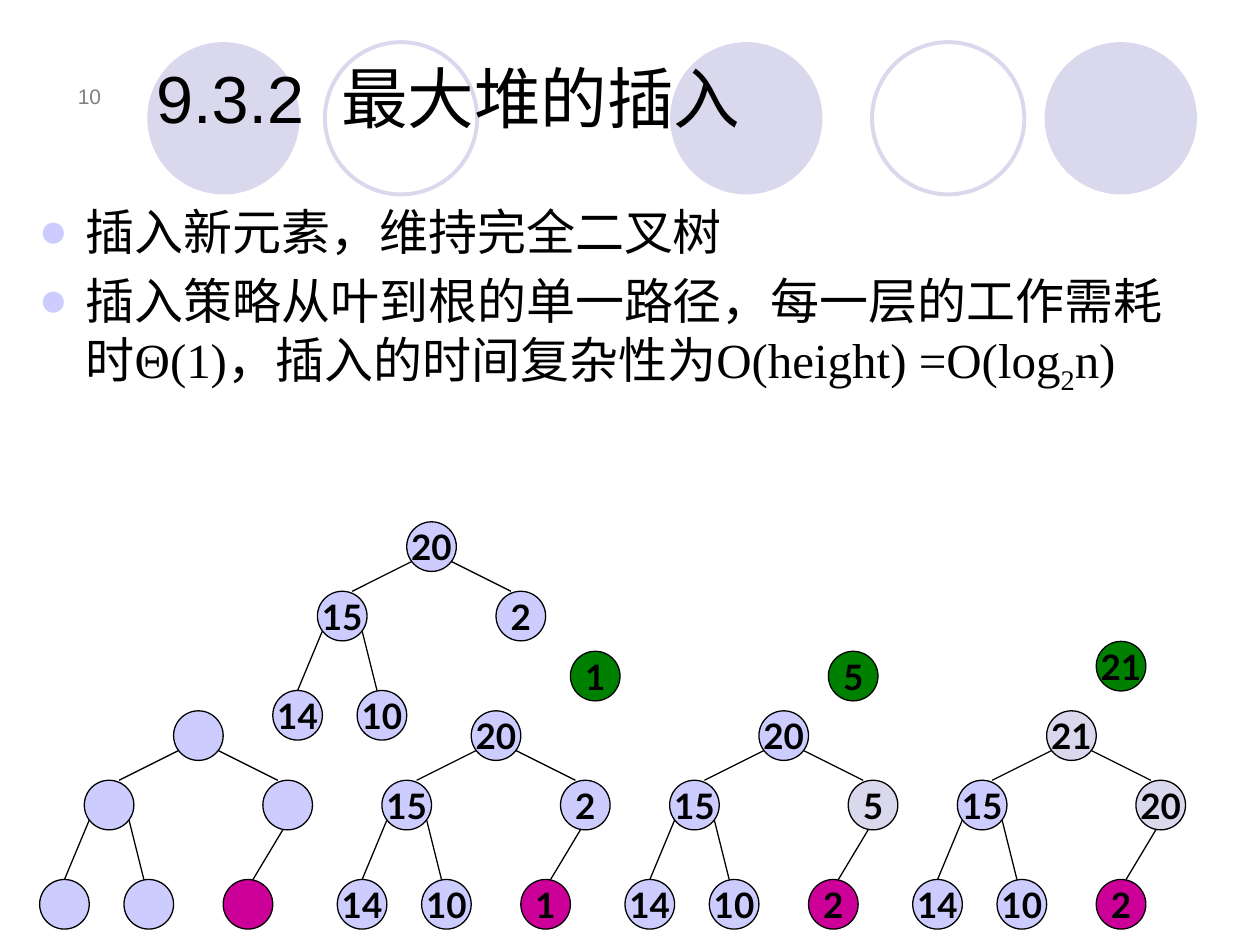
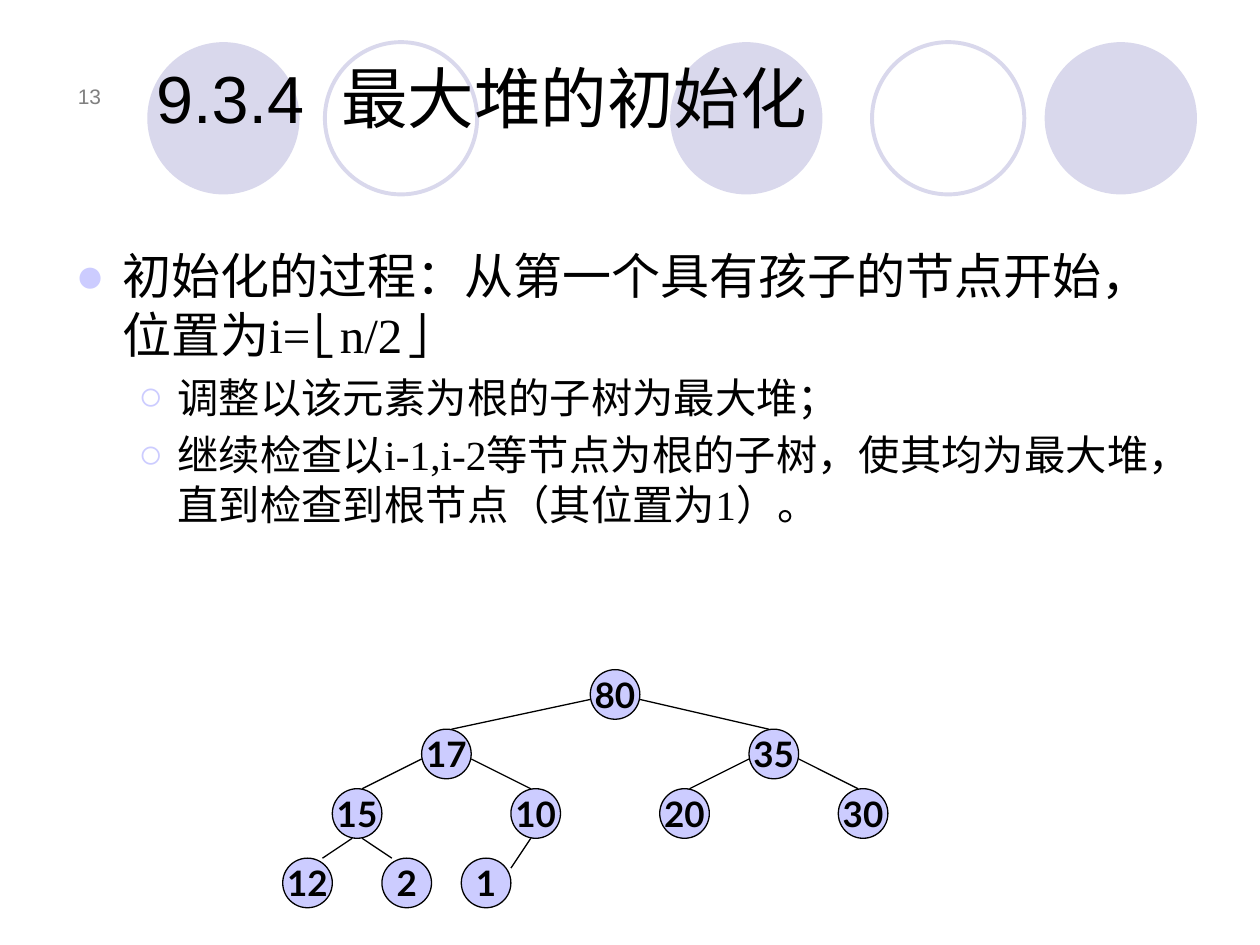
"""Two slides on max heaps: inserting an element and initialising the heap."""
from dataclasses import dataclass

from lxml import etree
from pptx import Presentation
from pptx import util as u
from pptx.dml.color import RGBColor
from pptx.enum import lang, shapes, text
from pptx.oxml import ns


@dataclass(frozen=True)
class Theme:
    """Colours, fonts and type sizes shared by the slides."""
    black: str = "000000"
    grey: str = "808080"
    pale: str = "D9D8EC"
    lavender: str = "CCCCFF"
    magenta: str = "CC0099"
    green: str = "008000"
    title_font: str = "Arial"
    body_font: str = "Times New Roman"
    bracket_font: str = "Noto Sans Mono"
    node_font: str = "Lato"
    title_size: float = 38
    body_sizes: tuple = (28, 23.6)
    number_size: float = 12
    node_size: float = 20
    thin: float = 0.75
    ring: float = 2.25


THEME = Theme()
NODE = 1.0  # node diameter, cm

# Per list level: bullet, left margin and hanging indent in cm
LEVELS = [("●", 0.95, 0.95), ("○", 2.06, 0.79)]

# Header circles: left edge in cm, filled or ring
CIRCLES = [(13.51, True), (21.06, True), (2.97, True), (17.58, False), (6.55, False)]

# Small heap: node offsets from the root, in level order
HEAP_NODES = [(0, 0), (-1.8, 1.4), (1.8, 1.4), (-2.7, 3.4), (-1, 3.4), (1, 3.4)]
# Edges: parent, child, start within the parent, end within the child
HEAP_EDGES = [
    (0, 1, (0.1, 0.8), (0.7, 0)),
    (0, 2, (0.9, 0.8), (0.3, 0)),
    (1, 3, (0.1, 0.8), (0.5, 0)),
    (1, 4, (0.9, 0.8), (0.4, 0)),
    (2, 5, (0.4, 1), (0.6, 0)),
]

# Heaps on the insertion slide: root position, values, changed nodes
INSERTIONS = [
    ((8.2, 10.52), ["20", "15", "2", "14", "10"], {}),
    ((3.5, 14.33), [""] * 6, {5: THEME.magenta}),
    ((9.5, 14.33), ["20", "15", "2", "14", "10", "1"], {5: THEME.magenta}),
    ((15.3, 14.33), ["20", "15", "5", "14", "10", "2"],
     {2: THEME.pale, 5: THEME.magenta}),
    ((21.1, 14.33), ["21", "15", "20", "14", "10", "2"],
     {0: THEME.pale, 2: THEME.pale, 5: THEME.magenta}),
]
NEW_ELEMENTS = [("1", 11.5, 13.13), ("5", 16.7, 13.13), ("21", 22.1, 12.93)]

# Ten-element heap on the initialisation slide, in level order
FULL_VALUES = ["80", "17", "35", "15", "10", "20", "30", "12", "2", "1"]
FULL_NODES = [(11.9, 13.5), (8.5, 14.7), (15.1, 14.7),
              (6.7, 15.9), (10.3, 15.9), (13.3, 15.9), (16.9, 15.9),
              (5.7, 17.3), (7.7, 17.3), (9.3, 17.3)]
FULL_EDGES = [
    edge for parent in range(3) for edge in (
        (parent, 2 * parent + 1, (0, 0.6), (0.6, 0)),
        (parent, 2 * parent + 2, (1, 0.6), (0.4, 0)))
] + [
    (3, 7, (0.4, 1), (0.8, 0)),
    (3, 8, (0.6, 1), (0.2, 0)),
    (4, 9, (0.4, 1), (1, 0.2)),
]


def set_values(target, values):
    """Set each attribute named in a dict of format values."""
    for name, value in values.items():
        setattr(target, name, value)


def add_run(paragraph, words, font, size, color=THEME.black, **extra):
    """Add a run of text with its font."""
    run = paragraph.add_run()
    run.text = words
    set_values(run.font, {
        "name": font, "size": u.Pt(size),
        "language_id": lang.MSO_LANGUAGE_ID.SIMPLIFIED_CHINESE, **extra})
    run.font.color.rgb = RGBColor.from_string(color)
    return run


def add_box(slide, left, top, width, height, anchor):
    """Add a wrapping text box and return its text frame."""
    box = slide.shapes.add_textbox(*map(u.Cm, (left, top, width, height)))
    set_values(box.text_frame, {"word_wrap": True, "vertical_anchor": anchor})
    return box.text_frame


def add_ellipse(slide, left, top, size, fill=None, line=None, weight=THEME.thin):
    """Add a circle with an optional fill and outline."""
    circle = slide.shapes.add_shape(
        shapes.MSO_SHAPE.OVAL, *map(u.Cm, (left, top, size, size)))
    circle.shadow.inherit = False
    if fill:
        circle.fill.solid()
        circle.fill.fore_color.rgb = RGBColor.from_string(fill)
    else:
        circle.fill.background()
    if line:
        circle.line.color.rgb = RGBColor.from_string(line)
        circle.line.width = u.Pt(weight)
    else:
        circle.line.fill.background()
    return circle


def add_node(slide, value, left, top, fill=THEME.lavender):
    """Add a heap node with its value, if it has one."""
    frame = add_ellipse(slide, left, top, NODE, fill, THEME.black).text_frame
    set_values(frame, {
        "word_wrap": False, "vertical_anchor": text.MSO_ANCHOR.MIDDLE,
        "margin_left": 0, "margin_right": 0, "margin_top": 0, "margin_bottom": 0})
    if value:
        paragraph = frame.paragraphs[0]
        paragraph.alignment = text.PP_ALIGN.CENTER
        add_run(paragraph, value, THEME.node_font, THEME.node_size, bold=True)


def add_edge(slide, start, end):
    """Add a thin straight line between two points."""
    line = slide.shapes.add_connector(
        shapes.MSO_CONNECTOR.STRAIGHT, *map(u.Cm, (*start, *end)))
    line.line.color.rgb = RGBColor.from_string(THEME.black)
    line.line.width = u.Pt(THEME.thin)
    etree.SubElement(line._element.spPr, ns.qn("a:effectLst"))


def shift(point, offset):
    """Return a point moved by an offset."""
    return point[0] + offset[0], point[1] + offset[1]


def add_tree(slide, root, offsets, edges, values, fills):
    """Add the edges and nodes of a heap that has one node per value."""
    nodes = [shift(root, offset) for offset, _ in zip(offsets, values)]
    for parent, child, start, end in edges:
        if child < len(nodes):
            add_edge(slide, shift(nodes[parent], start), shift(nodes[child], end))
    for index, (node, value) in enumerate(zip(nodes, values)):
        add_node(slide, value, *node, fill=fills.get(index, THEME.lavender))


def add_bullet(paragraph, level):
    """Give a paragraph the bullet, indent and spacing of its level."""
    symbol, margin, hanging = LEVELS[level]
    set_values(paragraph, {
        "level": level, "space_before": u.Pt(0.2 * THEME.body_sizes[level])})
    properties = paragraph._p.get_or_add_pPr()
    properties.set("marL", str(u.Cm(margin)))
    properties.set("indent", str(-u.Cm(hanging)))
    color = etree.SubElement(properties, ns.qn("a:buClr"))
    etree.SubElement(color, ns.qn("a:srgbClr"), val=THEME.lavender)
    etree.SubElement(properties, ns.qn("a:buFont"), typeface=THEME.title_font)
    etree.SubElement(properties, ns.qn("a:buChar"), char=symbol)


def add_body(slide, place, items):
    """Add a bulleted list of (level, runs); a run is (words, font, baseline)."""
    frame = add_box(slide, *place, text.MSO_ANCHOR.TOP)
    for index, (level, runs) in enumerate(items):
        paragraph = frame.add_paragraph() if index else frame.paragraphs[0]
        add_bullet(paragraph, level)
        for words, font, baseline in runs:
            run = add_run(paragraph, words, font, THEME.body_sizes[level])
            if baseline:
                run.font._element.set("baseline", str(baseline))


def plain(words):
    """Return a run in the body font."""
    return words, THEME.body_font, 0


def bracket(words):
    """Return a run in the bracket font."""
    return words, THEME.bracket_font, 0


def add_page(presentation, number, title):
    """Add a slide with the header circles, slide number and title."""
    slide = presentation.slides.add_slide(presentation.slide_layouts[6])
    for left, filled in CIRCLES:
        colors = {"fill": THEME.pale} if filled else {"line": THEME.pale}
        add_ellipse(slide, left, 0.85, 3.07, weight=THEME.ring, **colors)
    bottom = text.MSO_ANCHOR.BOTTOM
    paragraph = add_box(slide, 0.89, 1.12, 1.4, 1.19, bottom).paragraphs[0]
    paragraph.alignment = text.PP_ALIGN.RIGHT
    add_run(paragraph, number, THEME.title_font, THEME.number_size, THEME.grey)
    paragraph = add_box(slide, 2.9, 0.53, 21.82, 2.36, bottom).paragraphs[0]
    add_run(paragraph, title, THEME.title_font, THEME.title_size)
    return slide


def add_insertion_slide(presentation):
    """Add the slide on inserting into a max heap."""
    slide = add_page(presentation, "10", "9.3.2  最大堆的插入")
    add_body(slide, (0.53, 3.94, 23.98, 8.53), [
        (0, [plain("插入新元素，维持完全二叉树")]),
        (0, [plain("插入策略从叶到根的单一路径，每一层的工作需耗时Θ(1)，"
                   "插入的时间复杂性为O(height) =O(log"),
             ("2", THEME.body_font, -25000), plain("n)")]),
    ])
    for root, values, fills in INSERTIONS:
        add_tree(slide, root, HEAP_NODES, HEAP_EDGES, values, fills)
    for value, left, top in NEW_ELEMENTS:
        add_node(slide, value, left, top, THEME.green)


def add_initialisation_slide(presentation):
    """Add the slide on initialising a max heap."""
    slide = add_page(presentation, "13", "9.3.4  最大堆的初始化")
    add_body(slide, (1.27, 4.83, 22.86, 7.21), [
        (0, [plain("初始化的过程：从第一个具有孩子的节点开始，位置为i="),
             bracket("⌊"), plain("n/2"), bracket("⌋")]),
        (1, [plain("调整以该元素为根的子树为最大堆；")]),
        (1, [plain("继续检查以i-1,i-2等节点为根的子树，使其均为最大堆，"
                   "直到检查到根节点（其位置为1）。")]),
    ])
    add_tree(slide, (0, 0), FULL_NODES, FULL_EDGES, FULL_VALUES, {})


def main():
    """Build and save the presentation."""
    presentation = Presentation()
    set_values(presentation, {
        "slide_width": u.Cm(25.4), "slide_height": u.Cm(19.05)})
    add_insertion_slide(presentation)
    add_initialisation_slide(presentation)
    presentation.save("out.pptx")


main()
